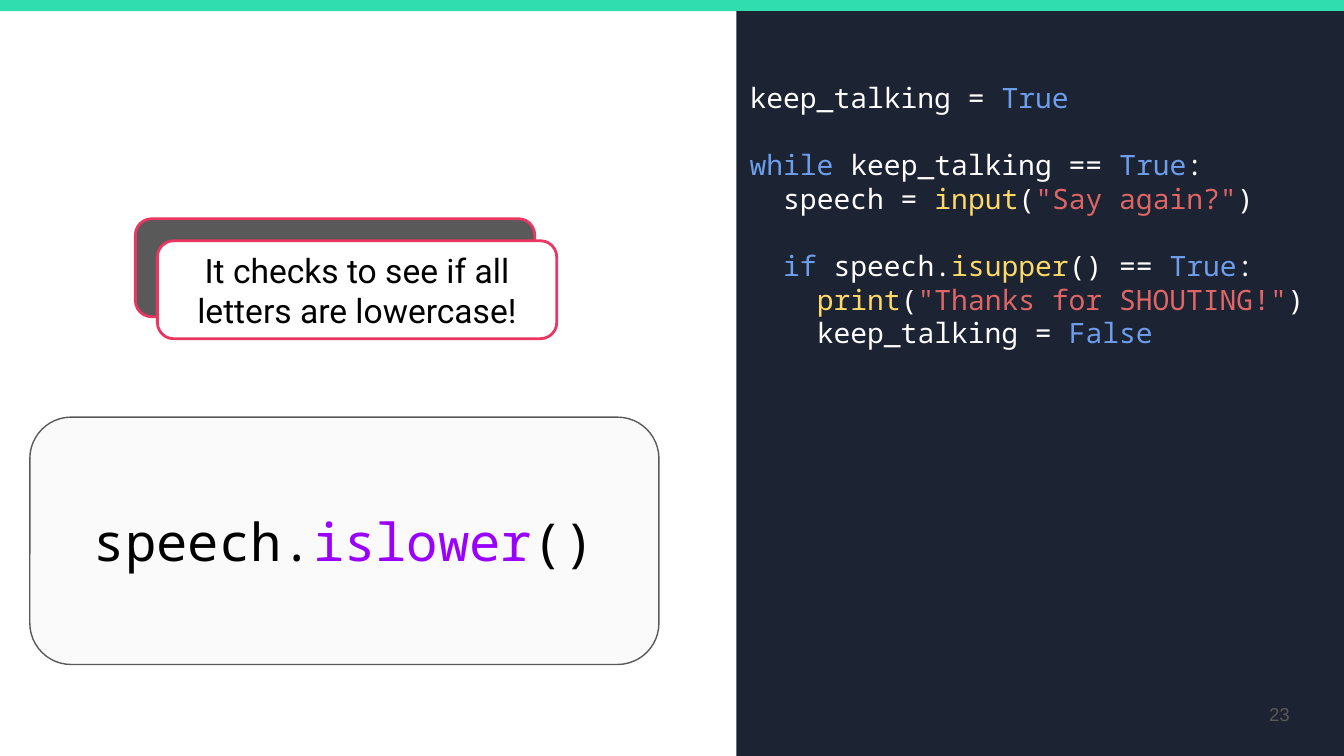
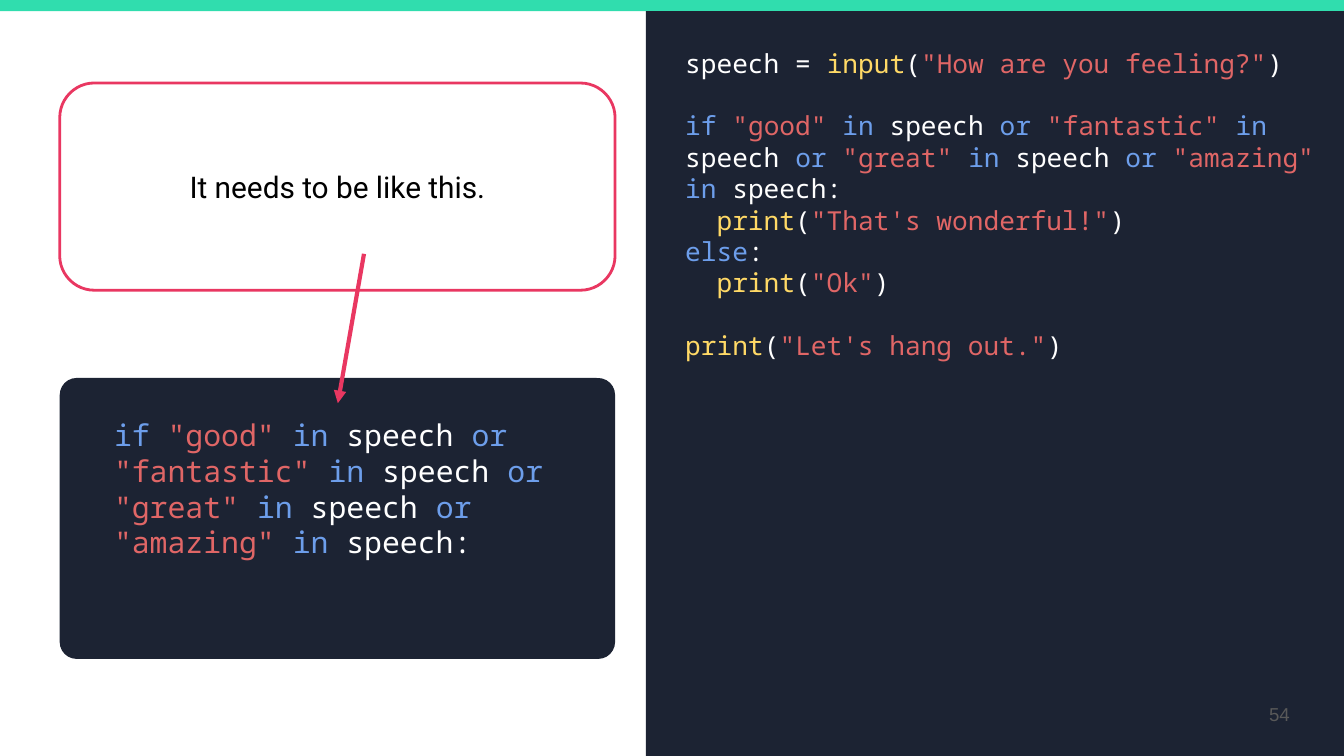
from dataclasses import dataclass

from lxml.etree import SubElement
from pptx import Presentation
from pptx.dml.color import RGBColor
from pptx.enum.shapes import MSO_CONNECTOR, MSO_SHAPE
from pptx.enum.text import MSO_ANCHOR, PP_ALIGN
from pptx.oxml.ns import qn
from pptx.util import Pt


@dataclass(frozen=True)
class Theme:
    band: str = "30DDAE"
    panel: str = "1C2333"
    accent: str = "E93761"
    grey: str = "595959"
    pale: str = "FAFAFA"
    white: str = "FFFFFF"
    black: str = "000000"
    keyword: str = "6D9EEB"
    function: str = "FFD966"
    string: str = "E06666"
    method: str = "9900FF"
    code_font: str = "Noto Sans Mono"
    text_font: str = "Roboto"
    number_font: str = "Arial"
    number_size: float = 10
    listing_size: float = 14
    wide_listing_size: float = 15
    body_size: float = 16
    callout_size: float = 18
    expression_size: float = 28
    line_height: float = 1.2
    level_indent: float = 1.2
    inset: float = 7.2


THEME = Theme()
WIDTH, HEIGHT, BAND_HEIGHT = 720, 405, 6
CARD_LEFT, CARD_WIDTH = 32, 297.5


@dataclass(frozen=True)
class CodeLine:
    runs: list
    level: int = 0
    after_gap: bool = False


def plain(text):
    return text, THEME.white


def keyword(text):
    return text, THEME.keyword


def function(text):
    return text, THEME.function


def string(text):
    return text, THEME.string


def call(name, argument):
    return [function(name), plain("("), string(f'"{argument}"'), plain(")")]


def feeling_condition():
    runs = []
    for opening, feeling in zip(
        ("if ", "or ", "or ", "or "), ("good", "fantastic", "great", "amazing")
    ):
        ending = " speech:" if feeling == "amazing" else " speech "
        runs += [keyword(opening), string(f'"{feeling}" '), keyword("in"), plain(ending)]
    return CodeLine(runs)


def points(*lengths):
    return [Pt(length) for length in lengths]


def add_block(slide, kind, box, fill, outline=None, outline_width=1.5, corner=None):
    block = slide.shapes.add_shape(kind, *points(*box))
    block.shadow.inherit = False
    block.fill.solid()
    block.fill.fore_color.rgb = RGBColor.from_string(fill)
    if outline:
        block.line.color.rgb = RGBColor.from_string(outline)
        block.line.width = Pt(outline_width)
    else:
        block.line.fill.background()
    if corner:
        block.adjustments[0] = corner
    return block


def add_panel(slide, left):
    box = (left, BAND_HEIGHT, WIDTH - left, HEIGHT - BAND_HEIGHT)
    add_block(slide, MSO_SHAPE.RECTANGLE, box, THEME.panel)


def add_card(slide, box, fill, outline=None, outline_width=1.5, corner=0.167):
    return add_block(
        slide, MSO_SHAPE.ROUNDED_RECTANGLE, box, fill, outline, outline_width, corner
    )


def prepare_frame(holder, anchor):
    frame = holder.text_frame
    frame.word_wrap = True
    frame.vertical_anchor = anchor
    frame.margin_left = frame.margin_right = Pt(THEME.inset)
    frame.margin_top = frame.margin_bottom = Pt(THEME.inset)
    return frame


def add_runs(paragraph, runs, font, size):
    for text, color in runs:
        run = paragraph.add_run()
        run.text = text
        run.font.name = font
        run.font.size = Pt(size)
        run.font.color.rgb = RGBColor.from_string(color)


def write_label(holder, runs, font, size, align=PP_ALIGN.CENTER):
    paragraph = prepare_frame(holder, MSO_ANCHOR.MIDDLE).paragraphs[0]
    paragraph.alignment = align
    add_runs(paragraph, runs, font, size)


def add_code(slide, box, lines, size):
    frame = prepare_frame(slide.shapes.add_textbox(*points(*box)), MSO_ANCHOR.TOP)
    gap = size * THEME.line_height
    for index, line in enumerate(lines):
        paragraph = frame.add_paragraph() if index else frame.paragraphs[0]
        paragraph.alignment = PP_ALIGN.LEFT
        if line.after_gap and index:
            paragraph.space_before = Pt(gap)
        elif line.after_gap:
            frame.margin_top = Pt(THEME.inset + gap)
        if line.level:
            properties = paragraph._p.get_or_add_pPr()
            properties.set("marL", str(Pt(line.level * THEME.level_indent * size)))
            properties.set("indent", "0")
        add_runs(paragraph, line.runs, THEME.code_font, size)


def add_arrow(slide, start, end):
    arrow = slide.shapes.add_connector(MSO_CONNECTOR.STRAIGHT, *points(*start, *end))
    arrow.line.color.rgb = RGBColor.from_string(THEME.accent)
    arrow.line.width = Pt(2.25)
    SubElement(arrow.line._get_or_add_ln(), qn("a:tailEnd"), type="triangle")
    SubElement(arrow._element.spPr, qn("a:effectLst"))


def add_page_number(slide, number):
    holder = slide.shapes.add_textbox(*points(655, 367, 43, 31))
    runs = [(number, THEME.grey)]
    write_label(holder, runs, THEME.number_font, THEME.number_size, PP_ALIGN.RIGHT)


def add_layout_band(slide):
    band = add_block(
        slide, MSO_SHAPE.RECTANGLE, (-0.5, 0, WIDTH + 1, BAND_HEIGHT), THEME.band
    )
    slide.slide_layout.shapes.element.append(band.element)


def build_lowercase_slide(slide):
    add_panel(slide, 394.5)
    shouting_code = [
        CodeLine([plain("keep_talking = "), keyword("True")], after_gap=True),
        CodeLine(
            [keyword("while"), plain(" keep_talking == "), keyword("True"), plain(":")],
            after_gap=True,
        ),
        CodeLine([plain("speech = "), *call("input", "Say again?")], 1),
        CodeLine(
            [
                keyword("if"), plain(" speech."), function("isupper"),
                plain("() == "), keyword("True"), plain(":"),
            ],
            1,
            True,
        ),
        CodeLine(call("print", "Thanks for SHOUTING!"), 2),
        CodeLine([plain("keep_talking = "), keyword("False")], 2),
    ]
    add_code(slide, (394.5, 18, 326, 349), shouting_code, THEME.wide_listing_size)

    expression = add_card(slide, (16, 223.5, 337, 132.5), THEME.pale, THEME.grey, 0.75)
    expression_runs = [
        ("speech.", THEME.black), ("islower", THEME.method), ("()", THEME.black)
    ]
    write_label(expression, expression_runs, THEME.code_font, THEME.expression_size)
    add_page_number(slide, "23")

    left, top, width, height, offset = 72.5, 117.2, 214, 52.5, 11.8
    add_card(slide, (left, top, width, height), THEME.grey, THEME.accent)
    answer = add_card(
        slide, (left + offset, top + offset, width, height), THEME.white, THEME.accent
    )
    answer_runs = [("It checks to see if all letters are lowercase!", THEME.black)]
    write_label(answer, answer_runs, THEME.text_font, THEME.callout_size)


def build_condition_slide(slide):
    add_card(slide, (CARD_LEFT, 202.5, CARD_WIDTH, 150.5), THEME.panel, corner=0.06)
    add_panel(slide, 346)
    feeling_code = [
        CodeLine([plain("speech = "), *call("input", "How are you feeling?")]),
        CodeLine(feeling_condition().runs, after_gap=True),
        CodeLine(call("print", "That's wonderful!"), 1),
        CodeLine([keyword("else"), plain(":")]),
        CodeLine(call("print", "Ok"), 1),
        CodeLine(call("print", "Let's hang out."), after_gap=True),
    ]
    add_code(slide, (360, 18, 353, 349), feeling_code, THEME.listing_size)
    add_page_number(slide, "54")
    add_code(slide, (54, 216, 253.5, 85.5), [feeling_condition()], THEME.body_size)

    hint = add_card(
        slide, (CARD_LEFT, 44.5, CARD_WIDTH, 111), THEME.white, THEME.accent
    )
    hint_runs = [("It needs to be like this.", THEME.black)]
    write_label(hint, hint_runs, THEME.text_font, THEME.body_size)
    add_arrow(slide, (195, 136), (181, 216))


def main():
    deck = Presentation()
    deck.slide_width, deck.slide_height = points(WIDTH, HEIGHT)
    blank = deck.slide_layouts[6]
    lowercase_slide = deck.slides.add_slide(blank)
    add_layout_band(lowercase_slide)
    build_lowercase_slide(lowercase_slide)
    build_condition_slide(deck.slides.add_slide(blank))
    deck.save("out.pptx")


if __name__ == "__main__":
    main()
